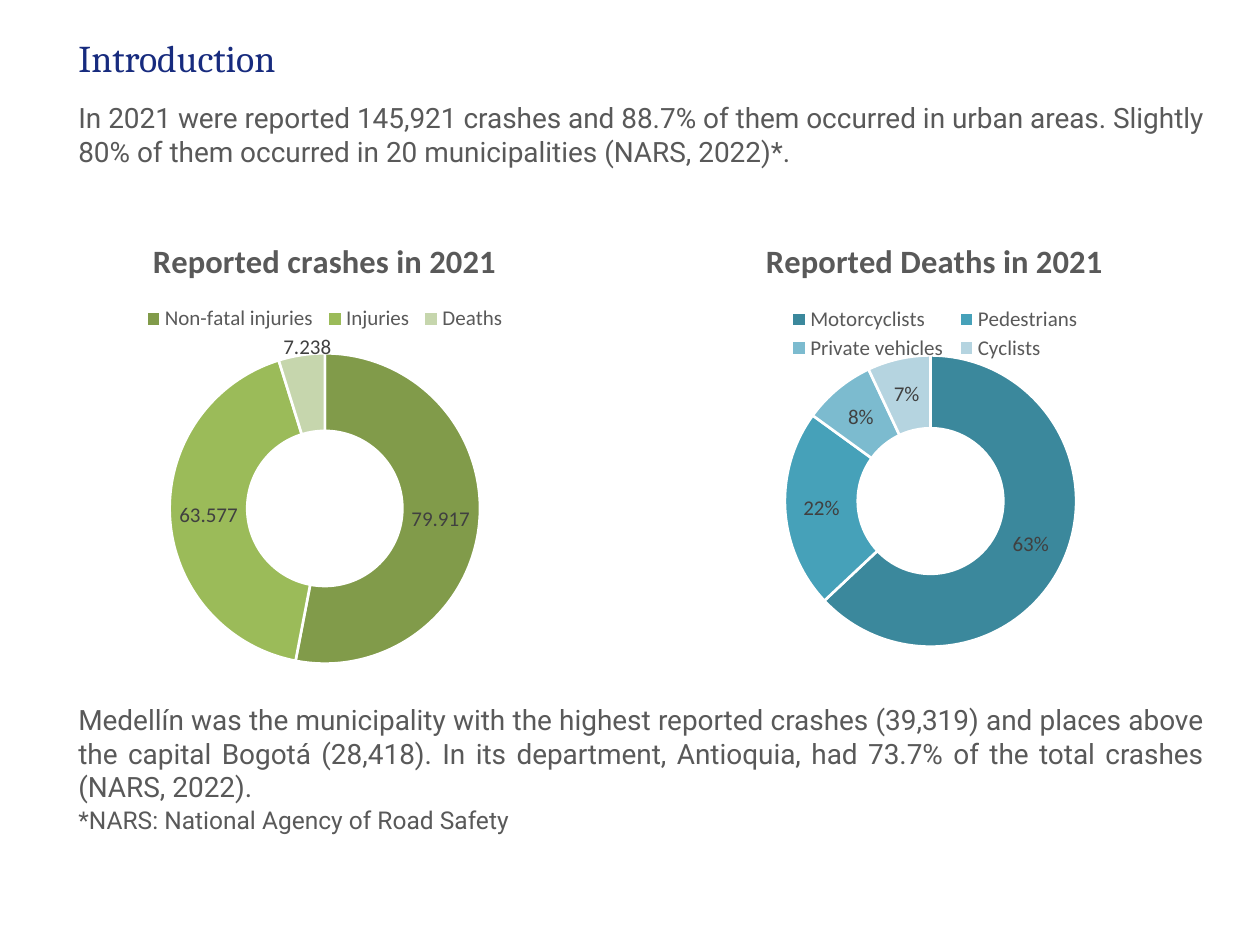
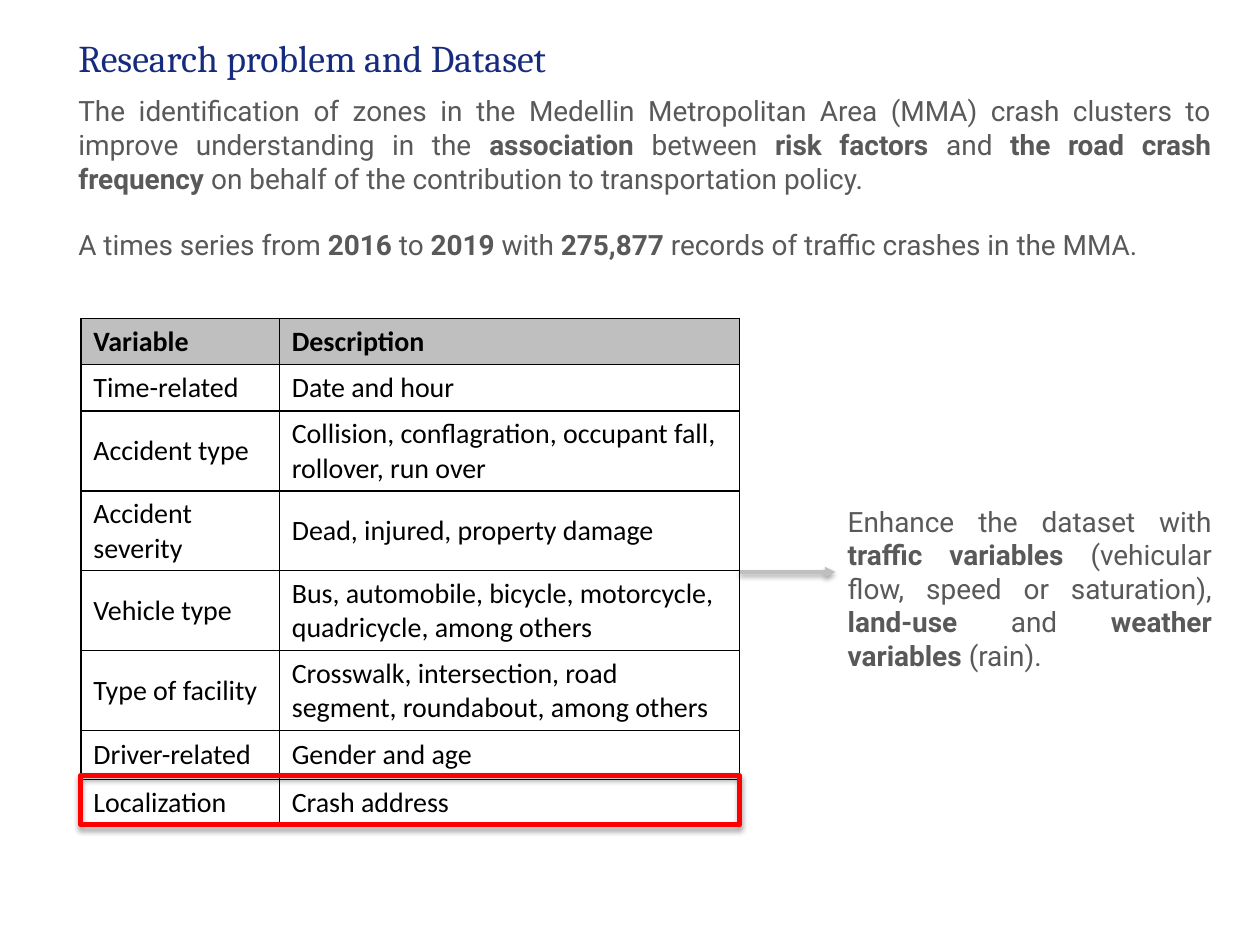
"""Build two slides on road crashes: an introduction with charts and the dataset overview."""
import lxml.etree
import pptx
import pptx.chart.data
import pptx.dml.color
import pptx.enum.chart
import pptx.enum.shapes
import pptx.enum.text
import pptx.oxml
import pptx.oxml.ns
import pptx.util

Cm = pptx.util.Cm
Pt = pptx.util.Pt
rgb = pptx.dml.color.RGBColor.from_string
qn = pptx.oxml.ns.qn
ALIGN = pptx.enum.text.PP_ALIGN
ANCHOR = pptx.enum.text.MSO_ANCHOR
COLORS = {
    "title": "172B7E", "body": "595959", "label": "404040", "black": "000000",
    "white": "FFFFFF", "grey": "BFBFBF", "highlight": "FF0000",
}
LEFT = 1.33


def add_text(slide, box, paragraphs, size=16, font="Roboto", color="body",
             align=ALIGN.JUSTIFY, gap=0):
    """Add a text box; parts between ** marks are bold."""
    textbox = slide.shapes.add_textbox(*map(Cm, box))
    frame = textbox.text_frame
    frame.word_wrap = True
    for index, text in enumerate(paragraphs):
        paragraph = frame.paragraphs[0] if index == 0 else frame.add_paragraph()
        paragraph.alignment = align
        paragraph.space_before = Pt(gap if index else 0)
        for position, part in enumerate(text.split("**")):
            run = paragraph.add_run()
            run.text = part
            run.font.size = Pt(size)
            run.font.name = font
            run.font.bold = position % 2 == 1
            run.font.color.rgb = rgb(COLORS[color])
    return frame


def set_layout(parent, place, index, target=None, from_edge=True):
    """Put a manual chart layout into parent at the given child index."""
    for old in parent.findall(qn("c:layout")):
        parent.remove(old)
    layout = lxml.etree.Element(qn("c:layout"))
    manual = lxml.etree.SubElement(layout, qn("c:manualLayout"))
    entries = [("layoutTarget", target)] if target else []
    entries += [("xMode", "edge"), ("yMode", "edge")] if from_edge else []
    entries += zip("xywh", place)
    for tag, value in entries:
        lxml.etree.SubElement(manual, qn(f"c:{tag}")).set("val", str(value))
    parent.insert(index, layout)


deck = pptx.Presentation()
deck.slide_width, deck.slide_height = Cm(25.4), Cm(19.05)
slides = []
for heading in ("Introduction", "Research problem and Dataset"):
    slide = deck.slides.add_slide(deck.slide_layouts[6])
    frame = add_text(slide, (LEFT, 0.68, 18.36, 1.09), [heading], 21.6, "Cambria", "title", ALIGN.LEFT)
    frame.vertical_anchor = ANCHOR.MIDDLE
    frame.paragraphs[0].line_spacing = 0.9
    slides.append(slide)
introduction, research = slides

add_text(introduction, (LEFT, 1.91, 23.2, 1.62), [
    "In 2021 were reported 145,921 crashes and 88.7% of them occurred in urban areas. "
    "Slightly 80% of them occurred in 20 municipalities (NARS, 2022)*."])

doughnuts = [
    dict(left=0.86, title="Reported crashes in 2021", percent=False,
         slices=[("Non-fatal injuries", 79.917, "819B4A"), ("Injuries", 63.577, "9BBB59"),
                 ("Deaths", 7.238, "C6D6AD")],
         title_at=(0.185, 0.036), legend_at=(0.17, 0.19, 0.66, 0.065),
         plot_at=(0.225, 0.296, 0.55, 0.67)),
    dict(left=13.16, title="Reported Deaths in 2021", percent=True,
         slices=[("Motorcyclists", 63, "3B889C"), ("Pedestrians", 22, "46A1B9"),
                 ("Private vehicles", 8, "7CBBCF"), ("Cyclists", 7, "B5D4E0")],
         title_at=(0.19, 0.036), legend_at=(0.23, 0.19, 0.54, 0.13),
         plot_at=(0.234, 0.29, 0.516, 0.65)),
]
for doughnut in doughnuts:
    names, values, fills = zip(*doughnut["slices"])
    data = pptx.chart.data.CategoryChartData()
    data.categories = names
    data.add_series("Series 1", values)
    chart = introduction.shapes.add_chart(
        pptx.enum.chart.XL_CHART_TYPE.DOUGHNUT, Cm(doughnut["left"]), Cm(4.34),
        Cm(11.38), Cm(9.37), data).chart
    chart.font.name, chart.font.size = "Calibri", Pt(10)
    chart.font.color.rgb = rgb(COLORS["black"])

    chart.has_title = True
    caption = chart.chart_title.text_frame.paragraphs[0].add_run()
    caption.text = doughnut["title"]
    caption.font.name, caption.font.size, caption.font.bold = "Calibri", Pt(18.6), True
    caption.font.color.rgb = rgb(COLORS["body"])
    chart.chart_title.include_in_layout = False

    chart.has_legend = True
    chart.legend.position = pptx.enum.chart.XL_LEGEND_POSITION.TOP
    chart.legend.include_in_layout = False
    chart.legend.font.name, chart.legend.font.size = "Calibri", Pt(12)
    chart.legend.font.color.rgb = rgb(COLORS["body"])

    plot = chart.plots[0]
    plot.vary_by_categories = True
    series = plot.series[0]
    for index, fill in enumerate(fills):
        part = series.points[index].format
        part.fill.solid()
        part.fill.fore_color.rgb = rgb(fill)
        part.line.color.rgb = rgb(COLORS["white"])
        part.line.width = Pt(1.5)
    labels = series.data_labels
    labels.show_value = not doughnut["percent"]
    labels.show_percentage = doughnut["percent"]
    labels.number_format = "0%" if doughnut["percent"] else "0.000"
    labels.number_format_is_linked = False
    label_fonts = [labels.font]
    if not doughnut["percent"]:
        label_fonts.append(series.points[2].data_label.font)
    for font in label_fonts:
        font.name, font.size = "Calibri", Pt(12)
        font.color.rgb = rgb(COLORS["label"])

    root = chart.element
    root.find(".//" + qn("c:holeSize")).set("val", "75")
    set_layout(root.find(".//" + qn("c:title")), doughnut["title_at"], 1)
    set_layout(root.find(".//" + qn("c:legend")), doughnut["legend_at"], 1)
    set_layout(root.find(".//" + qn("c:plotArea")), doughnut["plot_at"], 0, "inner")
    for moved_label in root.iter(qn("c:dLbl")):
        set_layout(moved_label, (0, -0.1), 1, from_edge=False)

add_text(introduction, (LEFT, 14.04, 23.2, 2.3), [
    "Medellín was the municipality with the highest reported crashes (39,319) and places above "
    "the capital Bogotá (28,418). In its department, Antioquia, had 73.7% of the total crashes "
    "(NARS, 2022)."])
add_text(introduction, (LEFT, 16.1, 12.7, 0.86), ["*NARS: National Agency of Road Safety"],
         14, align=ALIGN.LEFT)

add_text(research, (LEFT, 1.77, 23.34, 4.37), [
    "The identification of zones in the Medellin Metropolitan Area (MMA) crash clusters to improve "
    "understanding in the **association **between** risk factors **and** the road crash frequency **"
    "on behalf of the contribution to transportation policy.",
    "A times series from **2016** to **2019** with **275,877** records of traffic crashes in the MMA.",
], gap=18.8)

variables = [
    ("Variable", "Description", 0.93),
    ("Time-related", "Date and hour", 0.93),
    ("Accident type", "Collision, conflagration, occupant fall, rollover, run over", 1.61),
    ("Accident severity", "Dead, injured, property damage", 1.61),
    ("Vehicle type", "Bus, automobile, bicycle, motorcycle, quadricycle, among others", 1.61),
    ("Type of facility", "Crosswalk, intersection, road segment, roundabout, among others", 1.61),
    ("Driver-related", "Gender and age", 0.99),
    ("Localization", "Crash address", 0.94),
]
TABLE_LEFT, TABLE_WIDTH = 1.63, 13.28
table = research.shapes.add_table(len(variables), 2, Cm(TABLE_LEFT), Cm(6.42),
                                  Cm(TABLE_WIDTH), Cm(10.23)).table
table.first_row = table.horz_banding = False
table.columns[0].width, table.columns[1].width = Cm(4), Cm(9.28)
for row, (*texts, height) in enumerate(variables):
    table.rows[row].height = Cm(height)
    for column, text in enumerate(texts):
        cell = table.cell(row, column)
        cell.vertical_anchor = ANCHOR.MIDDLE
        run = cell.text_frame.paragraphs[0].add_run()
        run.text = text
        run.font.name, run.font.size, run.font.bold = "Calibri", Pt(16), row == 0
        run.font.color.rgb = rgb(COLORS["black"])
        borders = cell._tc.get_or_add_tcPr()
        for side in "LRTB":
            edge = lxml.etree.SubElement(borders, qn(f"a:ln{side}"), w=str(Pt(1)))
            paint = lxml.etree.SubElement(edge, qn("a:solidFill"))
            lxml.etree.SubElement(paint, qn("a:srgbClr"), val=COLORS["black"])
        if row == 0:
            cell.fill.solid()
            cell.fill.fore_color.rgb = rgb(COLORS["grey"])
        else:
            cell.fill.background()

localization = research.shapes.add_shape(pptx.enum.shapes.MSO_SHAPE.RECTANGLE, Cm(TABLE_LEFT),
                                         Cm(15.64), Cm(TABLE_WIDTH), Cm(0.99))
localization.fill.background()
table_right = Cm(TABLE_LEFT + TABLE_WIDTH)
enhancement = research.shapes.add_connector(pptx.enum.shapes.MSO_CONNECTOR.STRAIGHT,
                                            table_right, Cm(11.53), Cm(16.84), Cm(11.53))
for mark, color, width, alpha, distance in [
    (localization, "highlight", 3, 35, 1.8),
    (enhancement, "grey", 2, 38, 1.6),
]:
    mark.line.color.rgb = rgb(COLORS[color])
    mark.line.width = Pt(width)
    effects = lxml.etree.SubElement(mark._element.spPr, qn("a:effectLst"))
    shadow = lxml.etree.SubElement(effects, qn("a:outerShdw"), blurRad=str(Pt(3.1)),
                                   dist=str(Pt(distance)), dir="5400000", rotWithShape="0")
    shade = lxml.etree.SubElement(shadow, qn("a:srgbClr"), val=COLORS["black"])
    lxml.etree.SubElement(shade, qn("a:alpha"), val=str(alpha * 1000))
lxml.etree.SubElement(enhancement.line._get_or_add_ln(), qn("a:tailEnd"), type="triangle")

add_text(research, (16.84, 10.04, 7.84, 3.6), [
    "Enhance the dataset with **traffic variables **(vehicular flow, speed or saturation), "
    "**land-use** and **weather variables **(rain)."])

deck.save("out.pptx")
